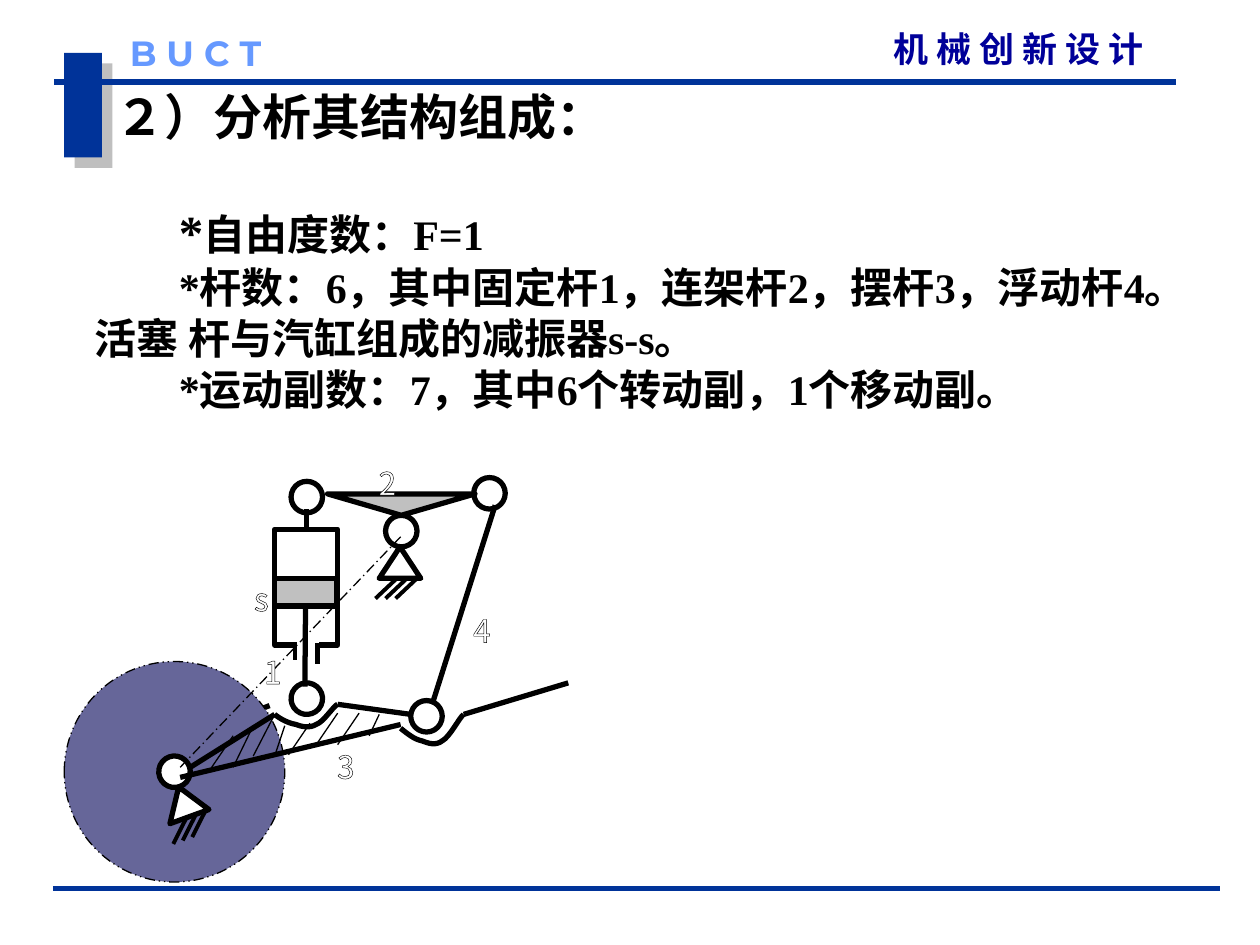
from math import cos, radians, sin

from lxml.etree import Element, SubElement
from pptx import Presentation
from pptx.dml.color import RGBColor
from pptx.enum.dml import MSO_LINE
from pptx.enum.shapes import MSO_CONNECTOR, MSO_SHAPE
from pptx.enum.text import MSO_ANCHOR, MSO_AUTO_SIZE, PP_ALIGN
from pptx.oxml.ns import qn
from pptx.util import Inches, Pt

NAVY = RGBColor(0x00, 0x33, 0x99)
HEADER_BLUE = RGBColor(0x00, 0x00, 0x99)
SKY = RGBColor(0x66, 0x99, 0xFF)
WHEEL = RGBColor(0x66, 0x66, 0x99)
SILVER = RGBColor(0xC0, 0xC0, 0xC0)
BLACK = RGBColor(0x00, 0x00, 0x00)
WHITE = RGBColor(0xFF, 0xFF, 0xFF)

CHINESE = "Noto Sans CJK SC"
SERIF = "Times New Roman"
THICK, MEDIUM, THIN = 3, 2.25, 0.75
JOINT = 0.25


class SlideDrawer:
    def __init__(self, slide):
        self.slide = slide
        self.shapes = slide.shapes

    def run(self, para, text, size, color=BLACK, latin=CHINESE, bold=True):
        span = para.add_run()
        span.text = text
        span.font.size = Pt(size)
        span.font.bold = bold
        span.font.color.rgb = color
        span.font.name = latin
        east_asian = SubElement(span._r.get_or_add_rPr(), qn("a:ea"))
        east_asian.set("typeface", CHINESE)
        return span

    def frame(self, shape, wrap=True):
        frame = shape.text_frame
        frame.margin_left = frame.margin_right = 0
        frame.margin_top = frame.margin_bottom = 0
        frame.word_wrap = wrap
        frame.auto_size = MSO_AUTO_SIZE.NONE
        frame.vertical_anchor = MSO_ANCHOR.TOP
        return frame

    def placeholder(self, index, left, top, width, height):
        holder = self.slide.placeholders[index]
        holder.left, holder.top = Inches(left), Inches(top)
        holder.width, holder.height = Inches(width), Inches(height)
        return self.frame(holder)

    def heading(self, text):
        para = self.placeholder(0, 0.92, 0.68, 8.6, 0.5).paragraphs[0]
        para.alignment = PP_ALIGN.LEFT
        para.line_spacing = Pt(34)
        self.run(para, text, 28)

    def bullets(self, items):
        frame = self.placeholder(1, 0.75, 1.66, 8.78, 1.9)
        for number, (size, text) in enumerate(items):
            para = frame.add_paragraph() if number else frame.paragraphs[0]
            properties = para._p.get_or_add_pPr()
            properties.set("marL", "0")
            properties.set("indent", str(Inches(0.67)))
            SubElement(properties, qn("a:buNone"))
            para.line_spacing = Pt(29.3)
            para.space_before = Pt(0)
            self.run(para, "*", size, latin=SERIF)
            self.run(para, text, 24, latin=SERIF)

    def text(self, text, left, top, width, color, latin):
        box = self.shapes.add_textbox(Inches(left), Inches(top), Inches(width), Inches(0.4))
        para = self.frame(box).paragraphs[0]
        self.run(para, text, 20, color, latin)

    def label(self, text, left, top):
        box = self.shapes.add_textbox(Inches(left), Inches(top), Inches(0.13), Inches(0.25))
        para = self.frame(box, wrap=False).paragraphs[0]
        para.alignment = PP_ALIGN.CENTER
        span = self.run(para, text, 18, WHITE, bold=False)
        outline = Element(qn("a:ln"), w=str(Pt(THIN)))
        fill = SubElement(outline, qn("a:solidFill"))
        SubElement(fill, qn("a:srgbClr"), val=str(BLACK))
        span._r.get_or_add_rPr().insert(0, outline)

    def shape(self, kind, left, top, width, height, fill=WHITE, line=BLACK,
              weight=THICK, rotation=0):
        shape = self.shapes.add_shape(kind, Inches(left), Inches(top),
                                      Inches(width), Inches(height))
        shape.shadow.inherit = False
        shape.rotation = rotation
        shape.fill.solid()
        shape.fill.fore_color.rgb = fill
        if line is None:
            shape.line.fill.background()
        else:
            shape.line.color.rgb = line
            shape.line.width = Pt(weight)
        return shape

    def drop_shadow(self, shape):
        effects = shape._element.spPr.find(qn("a:effectLst"))
        shadow = SubElement(effects, qn("a:outerShdw"), blurRad="0",
                            dist=str(Pt(8.5)), dir="2700000", algn="ctr", rotWithShape="0")
        tint = SubElement(shadow, qn("a:srgbClr"), val="808080")
        SubElement(tint, qn("a:alpha"), val="50000")

    def line(self, start_x, start_y, end_x, end_y, weight=THICK, color=BLACK, dash=None):
        line = self.shapes.add_connector(MSO_CONNECTOR.STRAIGHT, Inches(start_x),
                                         Inches(start_y), Inches(end_x), Inches(end_y))
        line.line.color.rgb = color
        line.line.width = Pt(weight)
        if dash is not None:
            line.line.dash_style = dash
        SubElement(line._element.spPr, qn("a:effectLst"))
        return line

    def joint(self, left, top, rotation=0):
        return self.shape(MSO_SHAPE.OVAL, left, top, JOINT, JOINT, rotation=rotation)

    def ground_pivot(self, left, top, rotation=0):
        center_x, center_y = left + JOINT / 2, top + JOINT / 2
        angle = radians(rotation)

        def turned(x, y):
            return (center_x + x * cos(angle) - y * sin(angle),
                    center_y + x * sin(angle) + y * cos(angle))

        self.joint(left, top, rotation)
        base_x, base_y = turned(-0.01, 0.25)
        self.shape(MSO_SHAPE.ISOSCELES_TRIANGLE, base_x - 0.165, base_y - 0.125,
                   0.33, 0.25, rotation=rotation)
        for number in range(3):
            x = -0.035 + 0.08 * number
            self.line(*turned(x, 0.375), *turned(x - 0.17, 0.535), MEDIUM)

    def curve(self, points, steps=8):
        vertices = []
        for first in range(0, len(points) - 1, 3):
            a, b, c, d = points[first:first + 4]
            for step in range(1, steps + 1):
                t = step / steps
                vertices.append(tuple(
                    Inches((1 - t) ** 3 * a[axis] + 3 * (1 - t) ** 2 * t * b[axis]
                           + 3 * (1 - t) * t ** 2 * c[axis] + t ** 3 * d[axis])
                    for axis in (0, 1)))
        start_x, start_y = points[0]
        builder = self.shapes.build_freeform(Inches(start_x), Inches(start_y))
        builder.add_line_segments(vertices, close=False)
        curve = builder.convert_to_shape()
        curve.shadow.inherit = False
        curve.fill.background()
        curve.line.color.rgb = BLACK
        curve.line.width = Pt(THICK)


def draw_frame(drawer):
    bar = drawer.shape(MSO_SHAPE.RECTANGLE, 0.51, 0.42, 0.3, 0.83, NAVY, None)
    drawer.drop_shadow(bar)
    drawer.line(0.43, 0.65, 9.33, 0.65, color=NAVY)
    drawer.line(0.42, 7.05, 9.68, 7.05, color=NAVY)
    drawer.text("机 械 创 新 设 计", 7.09, 0.22, 2.45, HEADER_BLUE, CHINESE)
    drawer.text("B U C T", 1.03, 0.25, 1.42, SKY, "Montserrat")


def draw_mechanism(drawer):
    drawer.ground_pivot(3.06, 4.09)
    for left, top in [(3.26, 5.56), (2.31, 3.82), (3.76, 3.79)]:
        drawer.joint(left, top)
    drawer.line(1.75, 5.75, 2.14, 5.6)
    drawer.line(2.35, 5.07, 2.35, 5.24)
    wheel = drawer.shape(MSO_SHAPE.OVAL, 0.51, 5.25, 1.75, 1.75, WHEEL, weight=THIN)
    wheel.line.dash_style = MSO_LINE.DASH_DOT_DOT
    drawer.ground_pivot(1.26, 6, -20)
    drawer.line(1.51, 6.09, 2.18, 5.67)
    drawer.joint(2.31, 5.42, -20)

    cylinder = drawer.shape(MSO_SHAPE.RECTANGLE, 2.18, 4.2, 0.5, 0.92)
    drawer.shape(MSO_SHAPE.RECTANGLE, 2.36, 4.87, 0.17, 0.42, line=WHITE, weight=THIN)
    drawer.line(2.43, 4.04, 2.43, 4.2).end_connect(cylinder, 0)
    drawer.line(2.52, 5.1, 2.52, 5.27)
    piston = drawer.shape(MSO_SHAPE.RECTANGLE, 2.18, 4.59, 0.49, 0.22, SILVER)
    drawer.line(2.42, 4.81, 2.42, 5.45).begin_connect(piston, 2)

    drawer.shape(MSO_SHAPE.FLOWCHART_MERGE, 2.6, 3.92, 1.17, 0.17, SILVER)
    for ends in [(1.43, 6.17, 3.18, 5.75), (3.93, 4.01, 3.43, 5.59),
                 (2.68, 5.59, 3.26, 5.67), (3.68, 5.67, 4.51, 5.42)]:
        drawer.line(*ends)
    drawer.curve([(2.18, 5.67), (2.23, 5.71), (2.29, 5.74), (2.35, 5.75), (2.4, 5.77),
                  (2.46, 5.78), (2.51, 5.75), (2.57, 5.73), (2.65, 5.6), (2.68, 5.59)])
    drawer.curve([(3.18, 5.78), (3.23, 5.82), (3.29, 5.87), (3.35, 5.88), (3.4, 5.9),
                  (3.46, 5.92), (3.51, 5.88), (3.57, 5.85), (3.65, 5.69), (3.68, 5.67)])
    for hatch in [(1.85, 5.84, 1.68, 6.09), (2.01, 5.76, 1.85, 6.09),
                  (2.18, 5.67, 2.01, 6), (2.26, 5.76, 2.18, 6),
                  (2.46, 5.74, 2.29, 5.99), (2.68, 5.66, 2.51, 5.91),
                  (2.85, 5.66, 2.68, 5.91), (3.01, 5.67, 2.93, 5.84)]:
        drawer.line(*hatch, THIN)
    drawer.line(3.18, 4.26, 1.43, 6.09, THIN, dash=MSO_LINE.LONG_DASH_DOT)
    for name, left, top in [("1", 2.1, 5.18), ("4", 3.76, 4.85), ("3", 2.68, 5.93),
                            ("2", 3.01, 3.68), ("s", 2.01, 4.6)]:
        drawer.label(name, left, top)


def main():
    deck = Presentation()
    deck.slide_width, deck.slide_height = Inches(10), Inches(7.5)
    page = deck.slides.add_slide(deck.slide_layouts[1])
    drawer = SlideDrawer(page)
    draw_frame(drawer)
    draw_mechanism(drawer)
    drawer.heading("２）分析其结构组成：")
    drawer.bullets([
        (28, "自由度数：F=1"),
        (24, "杆数：6，其中固定杆1，连架杆2，摆杆3，浮动杆4。活塞 杆与汽缸组成的减振器s-s。"),
        (24, "运动副数：7，其中6个转动副，1个移动副。"),
    ])
    deck.save("out.pptx")


if __name__ == "__main__":
    main()
